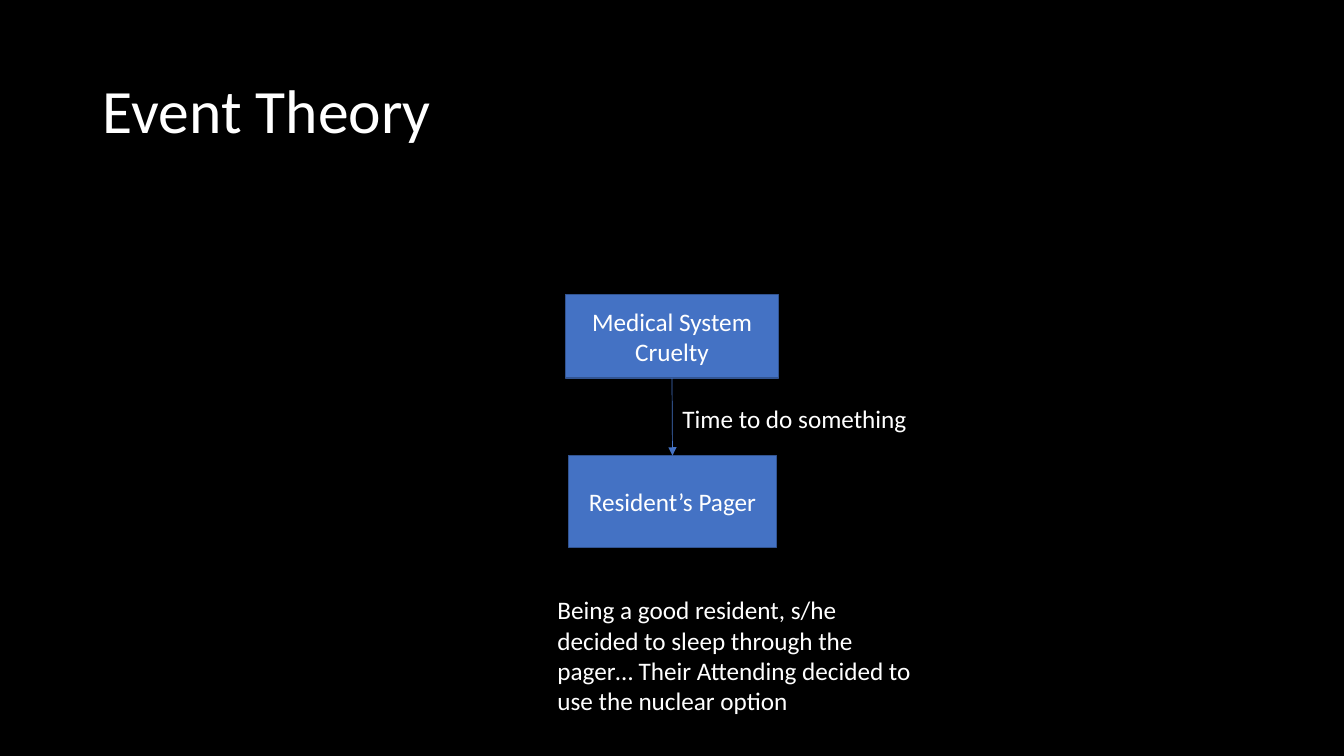
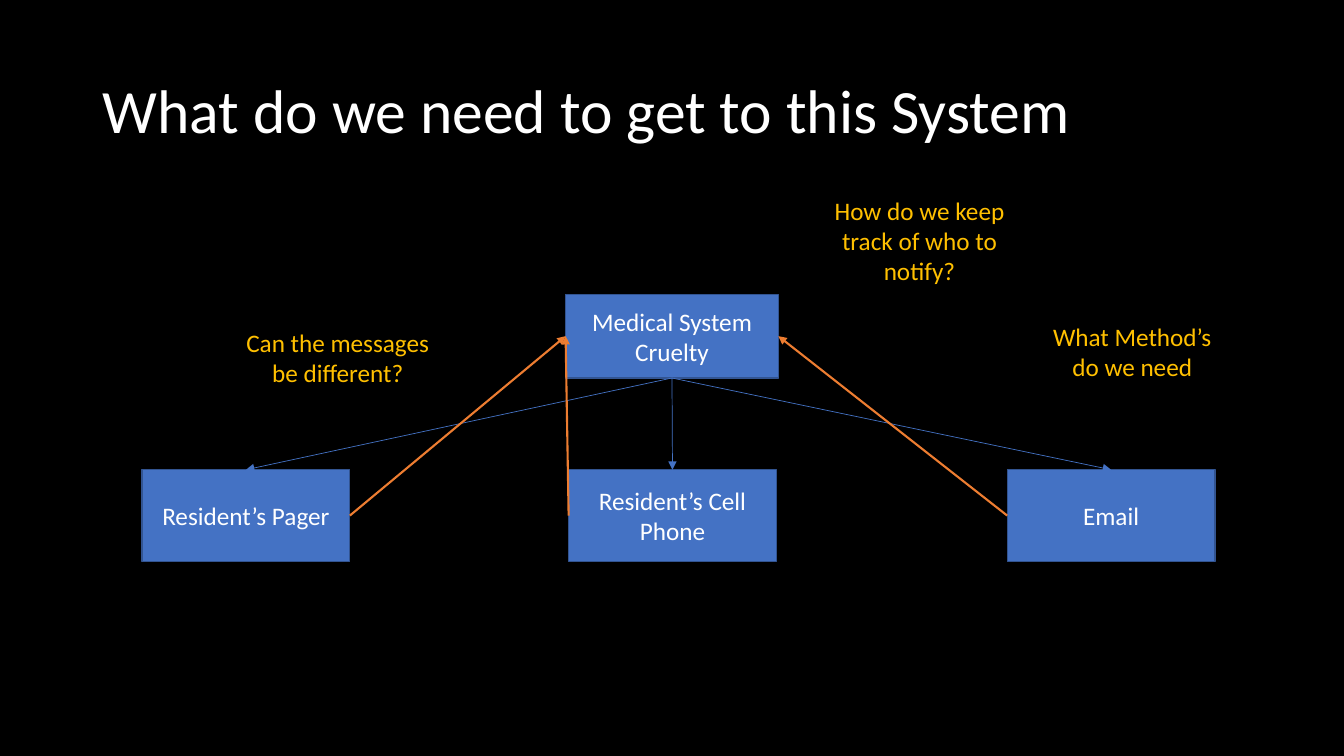
"""Build two slides that show how a medical system notifies a resident."""
from dataclasses import dataclass

from pptx import Presentation
from pptx.dml.color import RGBColor
from pptx.enum.shapes import MSO_CONNECTOR, MSO_SHAPE
from pptx.enum.text import MSO_ANCHOR, MSO_AUTO_SIZE, PP_ALIGN
from pptx.oxml.ns import qn
from pptx.util import Emu, Pt
from lxml import etree

RECTANGLE = MSO_SHAPE.RECTANGLE
STRAIGHT = MSO_CONNECTOR.STRAIGHT
LEFT, CENTER = PP_ALIGN.LEFT, PP_ALIGN.CENTER
TOP, MIDDLE = MSO_ANCHOR.TOP, MSO_ANCHOR.MIDDLE
NO_AUTOFIT = MSO_AUTO_SIZE.NONE

EMU_PER_PX = 9144
TITLE_ONLY = 5
TOP_SIDE, LEFT_SIDE, BOTTOM_SIDE, RIGHT_SIDE = range(4)

SLIDE_SIZE = (1333, 750)
TITLE_AREA = (92, 40, 1150, 145)
SYSTEM_AREA = (561, 292, 211, 83)
DEVICE_SIZE = (206, 91)
CENTER_DEVICE_LEFT = 564


@dataclass(frozen=True)
class Theme:
    """Hold the colours, font and sizes of the presentation."""

    font: str = "Calibri"
    background: str = "000000"
    text: str = "FFFFFF"
    question: str = "FFC000"
    box: str = "4472C4"
    box_border: str = "325491"
    reply: str = "ED7D31"
    title_size: int = 44
    body_size: int = 18
    border_width: float = 1
    notify_width: float = 0.5
    reply_width: float = 1.5


THEME = Theme()


def px(*lengths):
    """Turn pixel lengths into EMU."""
    return [Emu(length * EMU_PER_PX) for length in lengths]


def rgb(color):
    """Turn a hex string into a colour."""
    return RGBColor.from_string(color)


def write(shape, text, *, size=THEME.body_size, color=THEME.text,
          align=LEFT, anchor=TOP, line_spacing=1.0):
    """Put formatted text into a shape."""
    frame = shape.text_frame
    frame.word_wrap = True
    frame.auto_size = NO_AUTOFIT
    frame.vertical_anchor = anchor
    paragraph = frame.paragraphs[0]
    paragraph.alignment = align
    paragraph.line_spacing = line_spacing
    run = paragraph.add_run()
    run.text = text
    run.font.name = THEME.font
    run.font.size = Pt(size)
    run.font.color.rgb = rgb(color)


def add_slide(presentation, title):
    """Add a slide with a title."""
    slide = presentation.slides.add_slide(presentation.slide_layouts[TITLE_ONLY])
    write(slide.shapes.title, title, size=THEME.title_size,
          anchor=MIDDLE, line_spacing=0.9)
    return slide


def add_box(slide, text, area):
    """Add a filled box with centred text."""
    box = slide.shapes.add_shape(RECTANGLE, *px(*area))
    box.shadow.inherit = False
    box.fill.solid()
    box.fill.fore_color.rgb = rgb(THEME.box)
    box.line.color.rgb = rgb(THEME.box_border)
    box.line.width = Pt(THEME.border_width)
    write(box, text, align=CENTER, anchor=MIDDLE)
    return box


def add_system(slide):
    """Add the box of the notifying system."""
    return add_box(slide, "Medical System Cruelty", SYSTEM_AREA)


def add_device(slide, text, left, top):
    """Add the box of a notified device."""
    return add_box(slide, text, (left, top, *DEVICE_SIZE))


def add_text(slide, text, area, **style):
    """Add a wrapped text box."""
    write(slide.shapes.add_textbox(*px(*area)), text, **style)


def add_arrow(slide, source, source_side, target, target_side, color, width):
    """Add an arrow that is glued to two boxes."""
    arrow = slide.shapes.add_connector(STRAIGHT, 0, 0, 0, 0)
    arrow.begin_connect(source, source_side)
    arrow.end_connect(target, target_side)
    arrow.line.color.rgb = rgb(color)
    arrow.line.width = Pt(width)
    etree.SubElement(arrow.line._get_or_add_ln(), qn("a:tailEnd"), type="triangle")
    etree.SubElement(arrow._element.spPr, qn("a:effectLst"))


def add_notify_arrow(slide, system, device):
    """Add an arrow from the system down to a device."""
    add_arrow(slide, system, BOTTOM_SIDE, device, TOP_SIDE,
              THEME.box, THEME.notify_width)


def add_reply_arrow(slide, device, device_side, system, system_side):
    """Add an arrow from a device back to the system."""
    add_arrow(slide, device, device_side, system, system_side,
              THEME.reply, THEME.reply_width)


def build_event_slide(presentation):
    """Build the slide with one notified device."""
    slide = add_slide(presentation, "Event Theory")
    system = add_system(slide)
    pager = add_device(slide, "Resident’s Pager", CENTER_DEVICE_LEFT, 452)
    add_notify_arrow(slide, system, pager)
    add_text(slide, "Time to do something", (667, 395, 375, 40))
    add_text(slide, "Being a good resident, s/he decided to sleep through the "
             "pager… Their Attending decided to use the nuclear option",
             (543, 585, 375, 131))


def build_system_slide(presentation):
    """Build the slide with three devices and open questions."""
    slide = add_slide(presentation, "What do we need to get to this System")
    system = add_system(slide)
    devices = [
        add_device(slide, text, left, 466)
        for text, left in (("Resident’s Pager", 141),
                           ("Resident’s Cell Phone", CENTER_DEVICE_LEFT),
                           ("Email", 999))
    ]
    for device in devices:
        add_notify_arrow(slide, system, device)
    pager, phone, email = devices
    for device, device_side, system_side in (
            (pager, RIGHT_SIDE, LEFT_SIDE),
            (phone, LEFT_SIDE, LEFT_SIDE),
            (email, LEFT_SIDE, RIGHT_SIDE)):
        add_reply_arrow(slide, device, device_side, system, system_side)
    for text, left, top in (
            ("Can the messages be different?", 232, 309),
            ("How do we keep track of who to notify?", 809, 193),
            ("What Method’s do we need", 1020, 303)):
        add_text(slide, text, (left, top, *DEVICE_SIZE),
                 color=THEME.question, align=CENTER, anchor=MIDDLE)


def set_up_template(presentation):
    """Set the slide size, background and title place for all slides."""
    presentation.slide_width, presentation.slide_height = px(*SLIDE_SIZE)
    background = presentation.slide_master.background.fill
    background.solid()
    background.fore_color.rgb = rgb(THEME.background)
    title = presentation.slide_layouts[TITLE_ONLY].placeholders[0]
    title.left, title.top, title.width, title.height = px(*TITLE_AREA)


def main():
    """Build and save the presentation."""
    presentation = Presentation()
    set_up_template(presentation)
    build_event_slide(presentation)
    build_system_slide(presentation)
    presentation.save("out.pptx")


if __name__ == "__main__":
    main()
